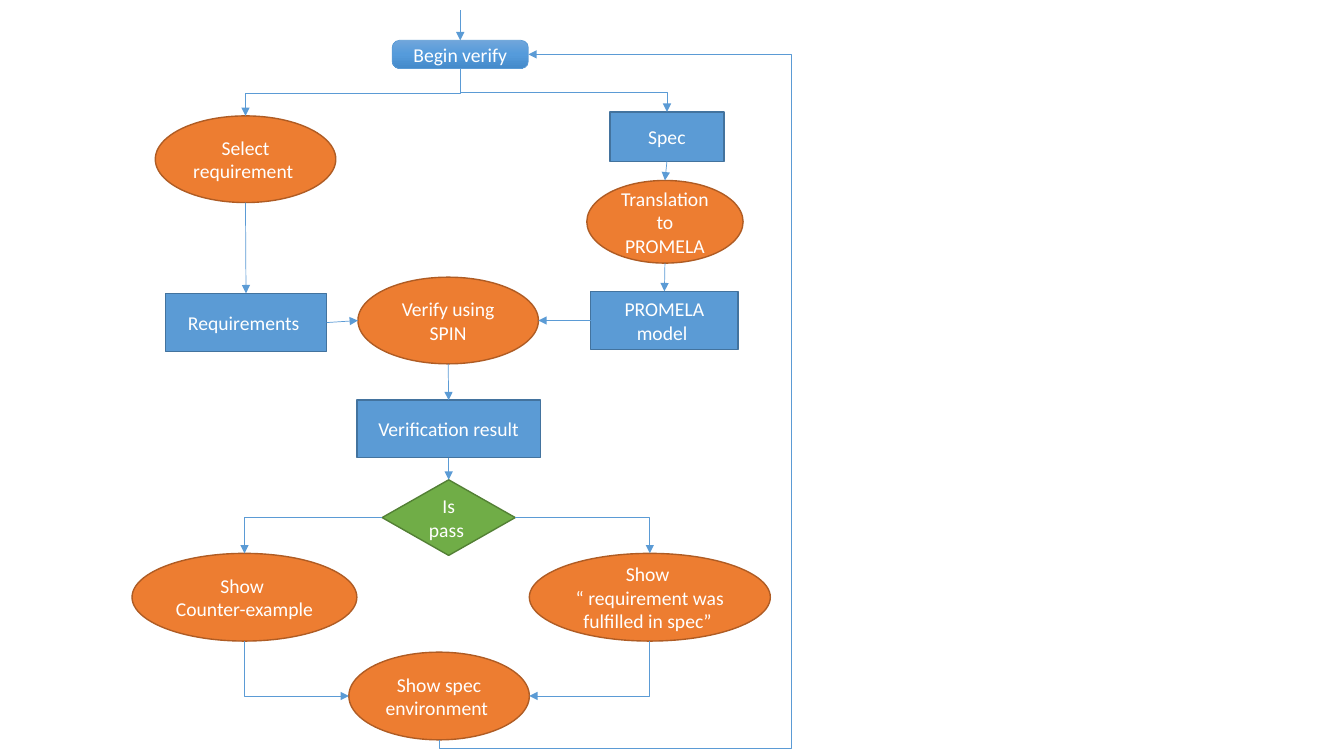
from copy import deepcopy

from pptx import Presentation
from pptx.dml.color import RGBColor
from pptx.enum.shapes import MSO_CONNECTOR as LINK, MSO_SHAPE as SHAPE
from pptx.enum.text import MSO_ANCHOR, PP_ALIGN
from pptx.oxml.ns import qn
from pptx.oxml.xmlchemy import OxmlElement
from pptx.util import Inches, Pt

# Content: kind of step, text, (left, top, width, height) in inches
STEPS = {
    "select": ("action", "Select requirement ", (1.54, 1.15, 1.79, 0.86)),
    "begin": ("start", "Begin verify", (3.89, 0.4, 1.35, 0.28)),
    "requirements": ("data", "Requirements ", (1.64, 2.91, 1.6, 0.58)),
    "spec": ("data", "Spec", (6.05, 1.11, 1.13, 0.49)),
    "translate": ("action", "Translation to PROMELA", (5.82, 1.79, 1.55, 0.82)),
    "model": ("data", "PROMELA model ", (5.86, 2.89, 1.46, 0.58)),
    "verify": ("action", "Verify using SPIN", (3.55, 2.75, 1.79, 0.86)),
    "result": ("data", "Verification result", (3.54, 3.97, 1.82, 0.57)),
    "pass": ("decision", "Is pass ", (3.79, 4.76, 1.32, 0.75)),
    "fulfilled": ("action", "Show \v“ requirement was fulfilled in spec” ",
                  (5.25, 5.49, 2.39, 0.87)),
    "counter": ("action", "Show \vCounter-example", (1.31, 5.49, 2.23, 0.87)),
    "environment": ("action", "Show spec environment ", (3.46, 6.47, 1.79, 0.87)),
}
STRAIGHT = [
    ("spec", "bottom", "translate", "top"),
    ("translate", "bottom", "model", "top"),
    ("select", "bottom", "requirements", "top"),
    ("verify", "bottom", "result", "top"),
    ("result", "bottom", "pass", "top"),
    ("requirements", "right", "verify", "left"),
    ("model", "left", "verify", "right"),
]
# Bent arrows end with the preset and its bend positions
BENT = [
    ("begin", "bottom", "select", "top", "bentConnector3", [0.53]),
    ("begin", "bottom", "spec", "top", "bentConnector3", [0.56]),
    ("pass", "right", "fulfilled", "top", "bentConnector2", []),
    ("pass", "left", "counter", "top", "bentConnector2", []),
    ("counter", "bottom", "environment", "left", "bentConnector2", []),
    ("fulfilled", "bottom", "environment", "right", "bentConnector2", []),
    ("environment", "bottom", "begin", "right", "bentConnector4", [-0.013, 3.95]),
]
ENTRY_TOP = 0.1

# Format: shape, fill, outline colour, outline width
STYLES = {
    "action": (SHAPE.OVAL, "ED7D31", "AF5C24", 1),
    "data": (SHAPE.RECTANGLE, "5B9BD5", "43739E", 1),
    "decision": (SHAPE.FLOWCHART_DECISION, "70AD47", "538035", 1),
    "start": (SHAPE.ROUNDED_RECTANGLE, None, "5B9BD5", 0.5),
}
START_GRADIENT = [(0, "71A6DB"), (0.5, "559BDB"), (1, "448ACA")]
START_CORNER = 0.26
ARROW_COLOR = "5B9BD5"
FONT = {"name": "Calibri", "size": Pt(14)}
FRAME = {"word_wrap": True, "vertical_anchor": MSO_ANCHOR.MIDDLE}
# Share of a step's width and height at which each side's midpoint lies
SIDES = {"top": (0.5, 0), "bottom": (0.5, 1), "left": (0, 0.5), "right": (1, 0.5)}
# (leaves vertically, goes right, goes down): rotation, flips
HEADINGS = {
    (False, True, True): (0, ()),
    (False, False, True): (180, ("flipV",)),
    (True, False, True): (90, ()),
    (True, True, True): (270, ("flipH",)),
    (True, True, False): (90, ("flipH", "flipV")),
}

deck = Presentation()
deck.slide_width, deck.slide_height = Inches(13.33), Inches(7.5)
slide = deck.slides.add_slide(deck.slide_layouts[6])


def color(hex_code):
    return RGBColor.from_string(hex_code)


def assign(target, values):
    for name, value in values.items():
        setattr(target, name, value)


def shade_start(step):
    step.adjustments[0] = START_CORNER
    step.fill.gradient()
    step.fill.gradient_angle = 270
    stops = step._element.spPr.find(".//" + qn("a:gsLst"))
    stops.insert(1, deepcopy(stops[0]))
    for stop, (position, shade) in zip(step.fill.gradient_stops, START_GRADIENT):
        stop.position = position
        stop.color.rgb = color(shade)


def add_step(kind, text, box):
    preset, fill, outline, width = STYLES[kind]
    step = slide.shapes.add_shape(preset, *map(Inches, box))
    step.shadow.inherit = False
    if fill:
        step.fill.solid()
        step.fill.fore_color.rgb = color(fill)
    else:
        shade_start(step)
    step.line.color.rgb = color(outline)
    step.line.width = Pt(width)
    assign(step.text_frame, FRAME)
    step.text_frame.text = text
    label = step.text_frame.paragraphs[0]
    label.alignment = PP_ALIGN.CENTER
    assign(label.font, FONT)
    label.font.color.rgb = color("FFFFFF")


def side_point(key, side):
    left, top, width, height = STEPS[key][2]
    across, down = SIDES[side]
    return left + across * width, top + down * height


def add_arrow(kind, start, end):
    arrow = slide.shapes.add_connector(kind, *map(Inches, (*start, *end)))
    arrow.line.color.rgb = color(ARROW_COLOR)
    arrow.line.width = Pt(0.5)
    head = OxmlElement("a:tailEnd")
    head.set("type", "triangle")
    arrow.line._get_or_add_ln().append(head)
    arrow._element.spPr.append(OxmlElement("a:effectLst"))
    return arrow


def add_bent_arrow(start, end, vertical, preset, bends):
    (x1, y1), (x2, y2) = start, end
    width, height = abs(x2 - x1), abs(y2 - y1)
    if vertical:  # the box is turned a quarter about its centre
        width, height = height, width
    left, top = (x1 + x2 - width) / 2, (y1 + y2 - height) / 2
    arrow = add_arrow(LINK.ELBOW, (left, top), (left + width, top + height))
    rotation, flips = HEADINGS[vertical, x2 > x1, y2 > y1]
    frame = arrow._element.spPr.find(qn("a:xfrm"))
    frame.set("rot", str(rotation * 60000))
    for flip in flips:
        frame.set(flip, "1")
    outline = arrow._element.spPr.find(qn("a:prstGeom"))
    outline.set("prst", preset)
    guides = outline.find(qn("a:avLst"))
    for number, bend in enumerate(bends, 1):
        guide = OxmlElement("a:gd")
        guide.set("name", f"adj{number}")
        guide.set("fmla", f"val {round(bend * 100000)}")
        guides.append(guide)


# Steps
for step_values in STEPS.values():
    add_step(*step_values)

# Arrows between the steps
for source, exit_side, target, entry_side in STRAIGHT:
    add_arrow(LINK.STRAIGHT, side_point(source, exit_side), side_point(target, entry_side))
for source, exit_side, target, entry_side, preset, bends in BENT:
    add_bent_arrow(side_point(source, exit_side), side_point(target, entry_side),
                   exit_side == "bottom", preset, bends)

# Arrow into the first step
begin_x, begin_top = side_point("begin", "top")
add_arrow(LINK.STRAIGHT, (begin_x, ENTRY_TOP), (begin_x, begin_top))

deck.save("out.pptx")
